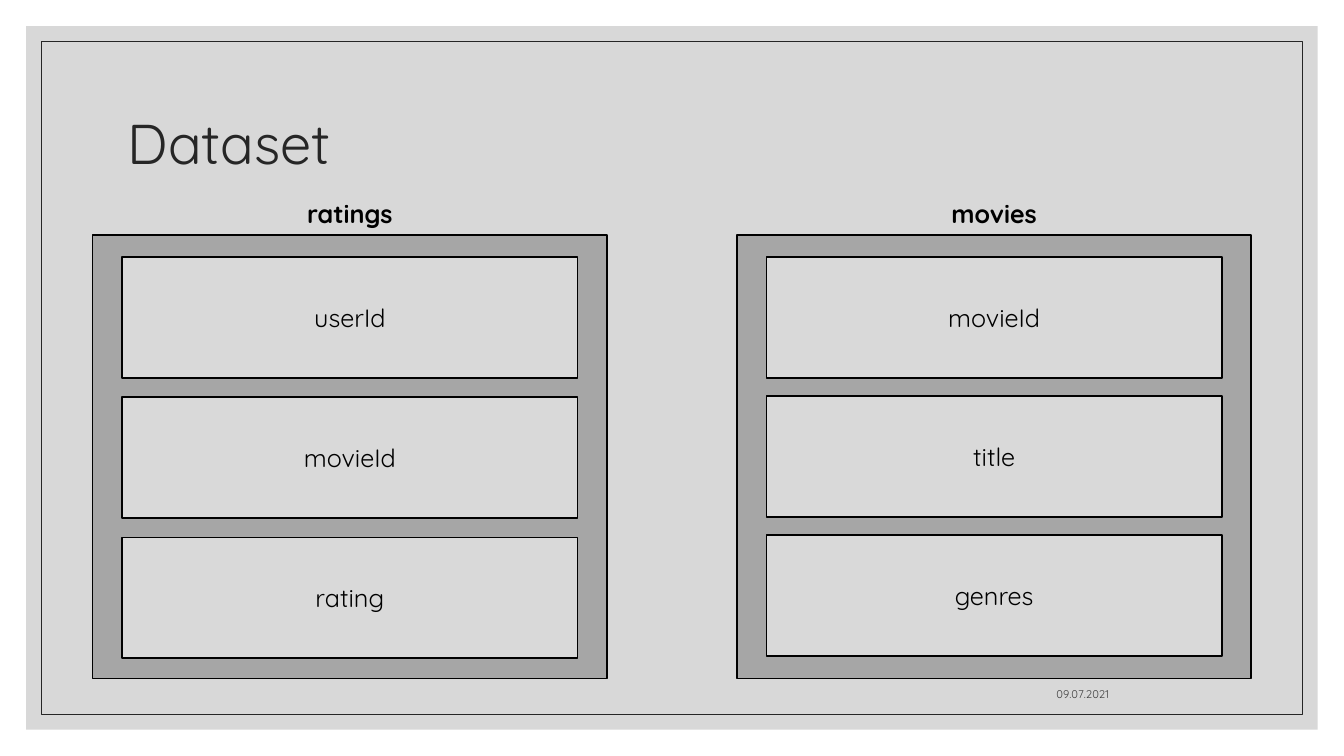
import pptx
import pptx.util
import pptx.dml.color
import pptx.enum.shapes
import pptx.enum.text
from lxml import etree

TITLE = "Dataset"
DATE = "09.07.2021"
# name, left edge, row pitch, fields
TABLES = [
    ("ratings", 0.92, 1.39, ["userId", "movieId", "rating"]),
    ("movies", 7.31, 1.38, ["movieId", "title", "genres"]),
]

FONT = "Quicksand"
COLORS = {
    "back": "BFBFBF", "frame": "262626", "date": "404040",
    "panel": "A6A6A6", "field": "D9D9D9", "black": "000000",
}
WIDE, HIGH = 13.33, 7.5
PANEL_TOP, PANEL_W, PANEL_H = 2.33, 5.1, 4.4
PAD_X, PAD_Y, FIELD_H = 0.29, 0.22, 1.2
HEAD_H = 0.4

ALIGN = pptx.enum.text.PP_ALIGN
ANCHOR = pptx.enum.text.MSO_ANCHOR
RECT = pptx.enum.shapes.MSO_SHAPE.RECTANGLE
inch = pptx.util.Inches


def color(name):
    return pptx.dml.color.RGBColor.from_string(COLORS[name])


def write(shape, text, size, tint="black", align=ALIGN.CENTER,
          anchor=ANCHOR.MIDDLE, bold=False):
    frame = shape.text_frame
    frame.word_wrap = True
    frame.vertical_anchor = anchor
    para = frame.paragraphs[0]
    para.text = text
    para.alignment = align
    font = para.font
    font.name, font.size, font.bold = FONT, pptx.util.Pt(size), bold
    font.color.rgb = color(tint)
    return para


def box(slide, left, top, width, height, fill=None, line=None, weight=1):
    shape = slide.shapes.add_shape(
        RECT, inch(left), inch(top), inch(width), inch(height))
    shape.shadow.inherit = False
    if fill:
        shape.fill.solid()
        shape.fill.fore_color.rgb = color(fill)
    else:
        shape.fill.background()
    if line:
        shape.line.color.rgb = color(line)
        shape.line.width = pptx.util.Pt(weight)
    else:
        shape.line.fill.background()
    return shape


def label(slide, left, top, width, height, *args, **style):
    shape = slide.shapes.add_textbox(
        inch(left), inch(top), inch(width), inch(height))
    return write(shape, *args, **style)


def inset(slide, gap, **style):
    """Add a box set in from every slide edge by the same gap."""
    return box(slide, gap, gap, WIDE - 2 * gap, HIGH - 2 * gap, **style)


def fade(shape, share):
    """Make a solid fill opaque only to the given share."""
    tint = shape.fill._xPr.find(".//" + pptx.oxml.ns.qn("a:srgbClr"))
    alpha = etree.SubElement(tint, pptx.oxml.ns.qn("a:alpha"))
    alpha.set("val", str(int(share * 100000)))


def main():
    deck = pptx.Presentation()
    deck.slide_width, deck.slide_height = inch(WIDE), inch(HIGH)
    slide = deck.slides.add_slide(deck.slide_layouts[6])

    fade(inset(slide, 0.26, fill="back"), 0.6)
    inset(slide, 0.41, line="frame", weight=0.5)

    title = label(slide, 1.17, 0.7, 11, 1.5, TITLE, 40, "frame",
                  align=ALIGN.LEFT)
    title.line_spacing = 0.9
    label(slide, 7.94, 6.6, 3.16, 0.4, DATE, 8, "date",
          align=ALIGN.RIGHT, anchor=ANCHOR.BOTTOM)

    for name, left, pitch, fields in TABLES:
        box(slide, left, PANEL_TOP, PANEL_W, PANEL_H, "panel", "black")
        label(slide, left, PANEL_TOP - HEAD_H - 0.01, PANEL_W, HEAD_H,
              name, 18, anchor=ANCHOR.TOP, bold=True)
        for row, field in enumerate(fields):
            cell = box(slide, left + PAD_X, PANEL_TOP + PAD_Y + row * pitch,
                       PANEL_W - 2 * PAD_X, FIELD_H, "field", "black")
            write(cell, field, 18)

    deck.save("out.pptx")


if __name__ == "__main__":
    main()
